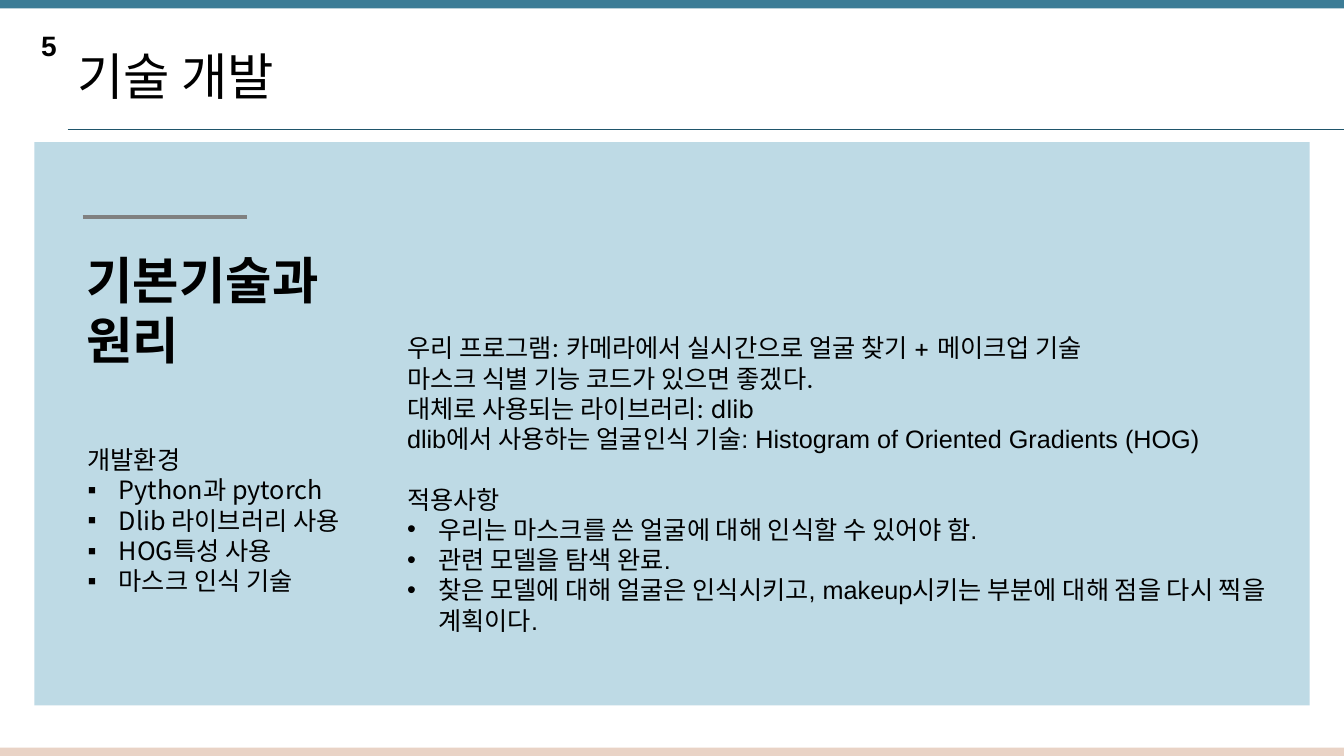
from pptx import Presentation
from pptx import util as u
from pptx.dml.color import RGBColor
from pptx.enum import shapes, text
from lxml import etree

deck = Presentation()
deck.slide_width, deck.slide_height = u.Inches(13.33), u.Inches(7.5)
col, row = deck.slide_width / 100, deck.slide_height / 100
page = deck.slides.add_slide(deck.slide_layouts[6])
hues = {"panel": "BEDAE5", "top": "3C7C96", "foot": "E9D3C6",
        "accent": "808080", "rule": "1F556B", "ink": "000000"}
noto = "Noto Sans CJK KR"
ns = "{http://schemas.openxmlformats.org/drawingml/2006/main}"


def grid(x, y, w, h):
    return [round(n) for n in (x * col, y * row, w * col, h * row)]


def write(area, lines, font, size, bold=False, mark="", wrap=True):
    box = page.shapes.add_textbox(*grid(*area))
    frame = box.text_frame
    frame.word_wrap = wrap
    for i, line in enumerate(lines):
        para = frame.paragraphs[0] if i == 0 else frame.add_paragraph()
        item = line.startswith("*")
        for j, part in enumerate(line.lstrip("*").split("|")):
            run = para.add_run()
            run.text = part
            if j % 2:
                run.font.name = "Inter"
        if item:
            props = para._p.get_or_add_pPr()
            props.set("marL", str(u.Inches(0.31)))
            props.set("indent", str(-u.Inches(0.31)))
            etree.SubElement(props, ns + "buFont", typeface="Arial")
            etree.SubElement(props, ns + "buChar", char=mark)
        para.font.name, para.font.size, para.font.bold = font, u.Pt(size), bold
        para.font.color.rgb = RGBColor.from_string(hues["ink"])
    return frame


for name, area in (("panel", (2.55, 18.8, 94.9, 74.53)),
                   ("top", (0, 0, 100, 1.1)),
                   ("foot", (0, 98.9, 100, 1.1))):
    rect = page.shapes.add_shape(shapes.MSO_SHAPE.RECTANGLE, *grid(*area))
    rect.shadow.inherit = False
    rect.fill.solid()
    rect.fill.fore_color.rgb = RGBColor.from_string(hues[name])
    rect.line.fill.background()

for name, x, end, y, width in (("accent", 6.15, 18.38, 28.67, 3),
                               ("rule", 5.03, 100, 17.07, 0.5)):
    left, top, right, base = grid(x, y, end, y)
    line = page.shapes.add_connector(shapes.MSO_CONNECTOR.STRAIGHT,
                                     left, top, right, base)
    line.line.color.rgb = RGBColor.from_string(hues[name])
    line.line.width = u.Pt(width)
    etree.SubElement(line._element.spPr, ns + "effectLst")

write((5.03, 5.33, 30.1, 9.47), ["기술 개발"], "Arial", 36)
write((2.33, 3.07, 2.7, 5.87), ["5"], "Arial", 20, bold=True, wrap=False)
write((5.7, 32.27, 25.3, 9.47), ["기본기술과 원리"], noto, 36, bold=True)

tools = write((5.78, 58.13, 22.73, 21.6), [
    "개발환경",
    "*Python과 pytorch",
    "*Dlib 라이브러리 사용",
    "*HOG특성 사용",
    "*마스크 인식 기술",
], noto, 18, mark="▪")
for para in tools.paragraphs:
    para.alignment = text.PP_ALIGN.JUSTIFY

plan = write((29.55, 26.8, 66.75, 57.87), [
    "우리 프로그램|: |카메라에서 실시간으로 얼굴 찾기 |+ |메이크업 기술",
    "마스크 식별 기능 코드가 있으면 좋겠다|.",
    "대체로 사용되는 라이브러리|: dlib",
    "dlib에서 사용하는 얼굴인식 기술: Histogram of Oriented Gradients (HOG)",
    "적용사항",
    "*우리는 마스크를 쓴 얼굴에 대해 인식할 수 있어야 함.",
    "*관련 모델을 탐색 완료.",
    "*찾은 모델에 대해 얼굴은 인식시키고, makeup시키는 부분에 대해 점을 다시 찍을 계획이다.",
], "Arial", 18, mark="•")
plan.vertical_anchor = text.MSO_ANCHOR.BOTTOM
plan.paragraphs[4].space_before = u.Pt(21.6)
plan.paragraphs[4].font.name = noto

deck.save("out.pptx")
